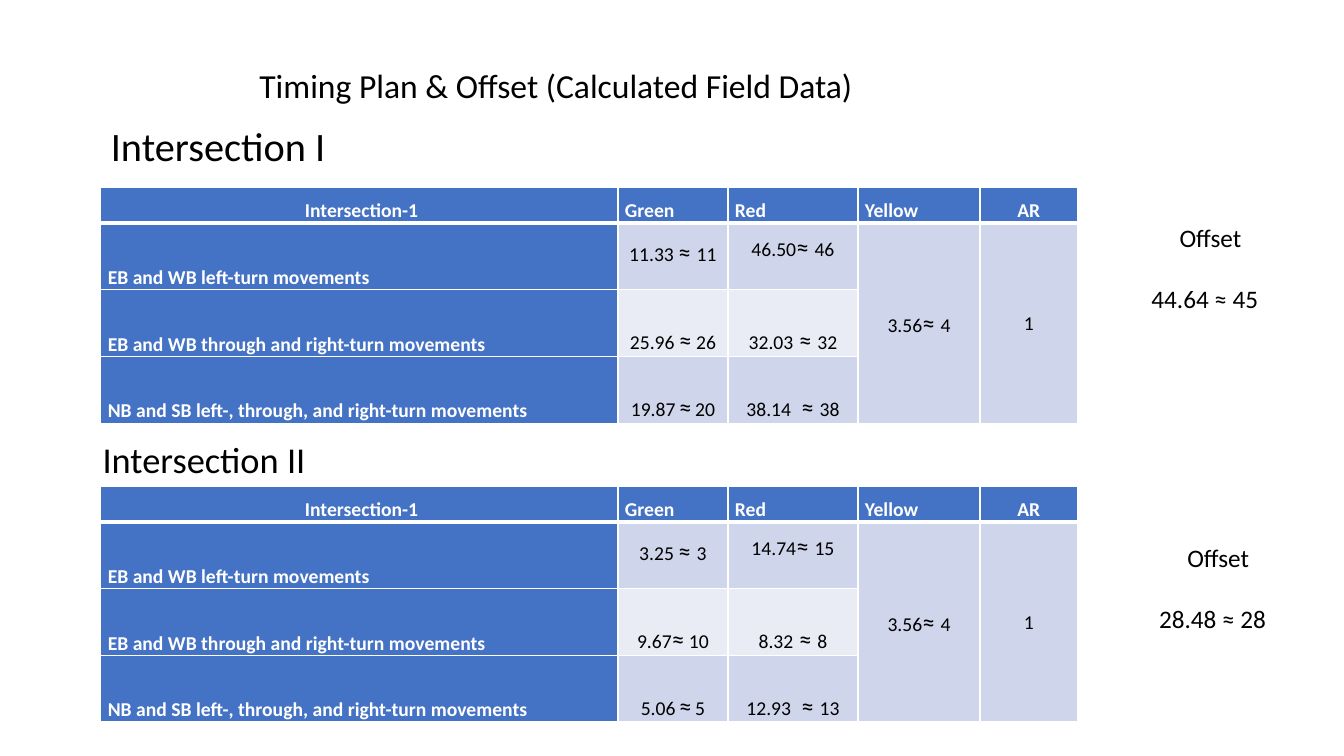
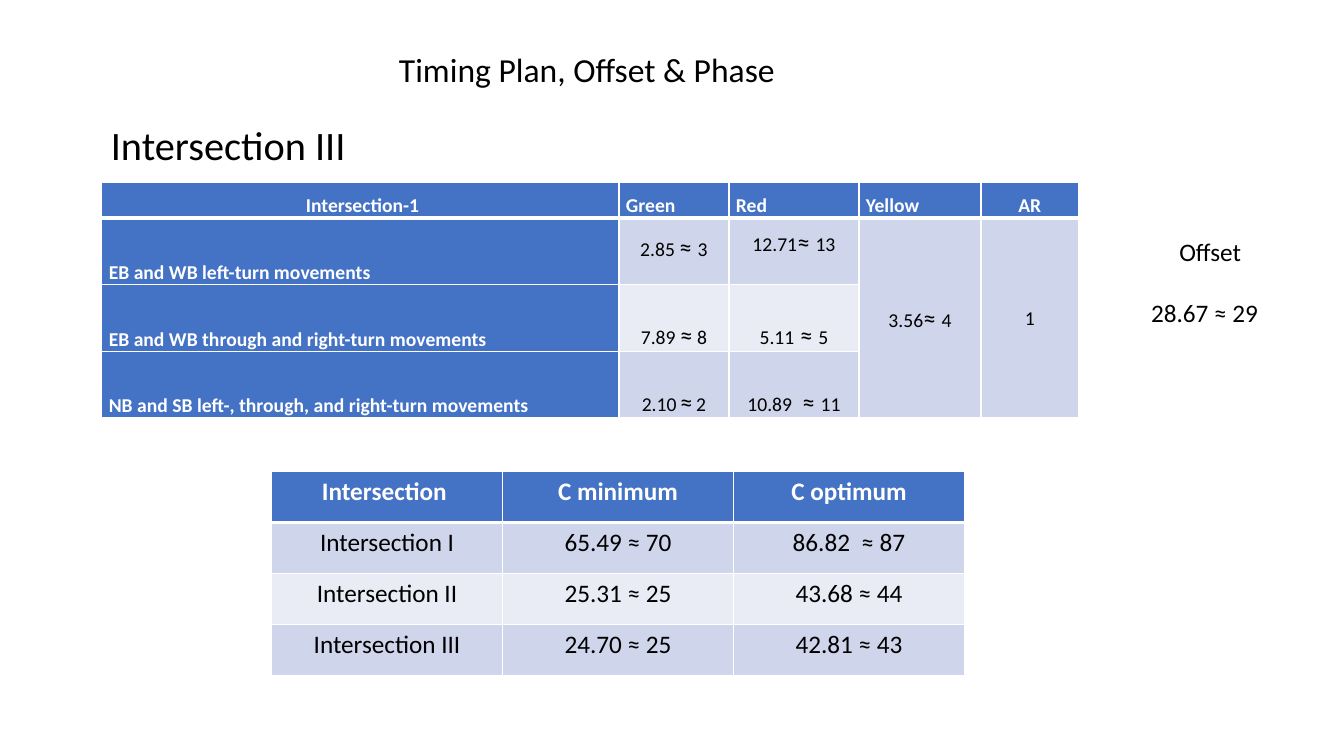
from dataclasses import dataclass

from lxml.etree import SubElement as SubEl
from pptx import Presentation
from pptx.dml.color import RGBColor as Rgb
from pptx.enum.text import MSO_ANCHOR as Anchor, MSO_AUTO_SIZE as Fit, PP_ALIGN as Align
from pptx.oxml.ns import qn
from pptx.util import Pt


# Shared look
@dataclass(frozen=True)
class Theme:
    font: str = "Calibri"
    white: str = "FFFFFF"
    black: str = "000000"
    blue: str = "4472C4"
    dark: str = "CFD5EA"
    light: str = "E9EBF5"
    title: float = 28.8
    second: float = 26
    head: float = 24
    body: float = 18
    cell: float = 14
    gap: float = 11
    thin: float = 1
    thick: float = 3


LOOK = Theme()


@dataclass(frozen=True)
class Box:
    left: float
    top: float
    width: float
    height: float

    def lengths(self) -> list:
        return [Pt(n) for n in (self.left, self.top, self.width, self.height)]


@dataclass(frozen=True)
class Plan:
    """Green and red times of one crossing; | parts the runs of a cell."""
    left: float
    top: float
    green: tuple
    red: tuple


@dataclass(frozen=True)
class Shift:
    box: Box
    value: str


# Content
HEADS = (" Intersection-1", "Green", "Red", "Yellow", "AR")
MOVES = ("EB and WB left-turn movements",
         "EB and WB through and right-turn movements",
         "NB and SB left-, through, and right-turn movements")
YELLOW, ALL_RED = "3.56|≈ |4", "1"
WIDTHS = (369.4, 78.6, 92.9, 87.2, 69.6)
HEIGHTS = (25.2, 47.7, 47.7, 47.7)
LIFTS = {(1, 1): 15, (1, 2): 19}  # bottom margins of the raised cells

PLAN_1 = Plan(72, 134, ("11.33 |≈ |11", "25.96 |≈| 26", "19.87| |≈| |20"),
              ("46.50|≈ |46", "32.03| ≈ |32", "38.14 | ≈ |38"))
PLAN_2 = Plan(72, 347.5, ("3.25 |≈ |3", "9.67|≈| 10", "5.06| |≈| |5"),
              ("14.74|≈ |15", "8.32| ≈ |8", "12.93 | ≈ |13"))
PLAN_3 = Plan(72.7, 130.3, ("2.85 |≈ |3", "7.89 |≈| 8", "2.10| |≈| |2"),
              ("12.71|≈ |13", "5.11| ≈ |5", "10.89 | ≈ |11"))

CYCLES = (("Intersection ", "C minimum", "C optimum"),
          ("Intersection I", "65.49 ≈ 70", "86.82  ≈ 87"),
          ("Intersection II", "25.31 ≈ 25", "43.68 ≈ 44"),
          ("Intersection III", "24.70 ≈ 25", "42.81 ≈ 43"))


# Text
def style(run, size: float, color: str = LOOK.black, bold: bool = False) -> None:
    font = run.font
    font.name, font.size, font.bold = LOOK.font, Pt(size), bold
    font.color.rgb = Rgb.from_string(color)


def add_text(slide, box: Box, lines: tuple, size: float, align=Align.CENTER):
    frame = slide.shapes.add_textbox(*box.lengths()).text_frame
    frame.word_wrap = True
    frame.text = "\n".join(lines)
    for para in frame.paragraphs:
        para.alignment = align
        style(para.runs[0], size)
    return frame


def add_title(slide, text: str, box: Box) -> None:
    title = slide.shapes.title
    title.left, title.top, title.width, title.height = box.lengths()
    frame = title.text_frame
    frame.text = text
    frame.auto_size, frame.vertical_anchor = Fit.NONE, Anchor.BOTTOM
    para = frame.paragraphs[0]
    para.alignment, para.line_spacing = Align.LEFT, 0.9
    style(para.runs[0], LOOK.title)


def add_shift(slide, shift: Shift) -> None:
    frame = add_text(slide, shift.box, ("Offset", shift.value), LOOK.body)
    last = frame.paragraphs[1]
    last.space_before = Pt(22)
    last._p.get_or_add_pPr().set("marR", str(Pt(8)))


# Tables
def edge(cell, row: int) -> None:
    props = cell._tc.get_or_add_tcPr()
    thick = {"T": row == 1, "B": row == 0}
    for side in "LRTB":
        width = LOOK.thick if thick.get(side) else LOOK.thin
        line = SubEl(props, qn(f"a:ln{side}"), w=str(Pt(width)))
        SubEl(SubEl(line, qn("a:solidFill")), qn("a:srgbClr"), val=LOOK.white)


def paint(cell, row: int, blue: bool) -> None:
    edge(cell, row)
    band = LOOK.dark if row % 2 else LOOK.light
    cell.fill.solid()
    cell.fill.fore_color.rgb = Rgb.from_string(LOOK.blue if blue else band)


def add_grid(slide, left: float, top: float, widths: tuple, heights: tuple):
    box = Box(left, top, sum(widths), sum(heights))
    grid = slide.shapes.add_table(len(heights), len(widths), *box.lengths()).table
    for col, width in zip(grid.columns, widths):
        col.width = Pt(width)
    for row, height in zip(grid.rows, heights):
        row.height = Pt(height)
    return grid


def part_size(part: str) -> float:
    if "≈" in part:
        return LOOK.body
    return LOOK.cell if part.strip() else LOOK.gap


def add_plan(slide, plan: Plan) -> None:
    grid = add_grid(slide, plan.left, plan.top, WIDTHS, HEIGHTS)
    rows = [HEADS] + [(*trio, YELLOW, ALL_RED)
                      for trio in zip(MOVES, plan.green, plan.red)]
    for r, texts in enumerate(rows):
        for c, text in enumerate(texts):
            cell = grid.cell(r, c)
            blue = r == 0 or c == 0
            paint(cell, r if c < 3 else min(r, 1), blue)
            if r > 1 and c > 2:
                continue  # covered by the merged cell above
            cell.margin_left = cell.margin_right = Pt(5)
            cell.margin_top, cell.margin_bottom = 0, Pt(LIFTS.get((r, c), 0))
            tall = r == 1 and c > 2
            cell.vertical_anchor = Anchor.MIDDLE if tall else Anchor.BOTTOM
            para = cell.text_frame.paragraphs[0]
            plain = (r == 0 and c in (1, 2, 3)) or (r > 0 and c == 0)
            para.alignment = Align.LEFT if plain else Align.CENTER
            para.line_spacing = 1.07
            for part in text.split("|"):
                run = para.add_run()
                run.text = part
                style(run, part_size(part), LOOK.white if blue else LOOK.black, blue)
    for c in (3, 4):
        grid.cell(1, c).merge(grid.cell(3, c))


def add_cycles(slide) -> None:
    grid = add_grid(slide, 194, 336.8, (165,) * 3, (36.5,) * 4)
    for r, texts in enumerate(CYCLES):
        head = r == 0
        for c, text in enumerate(texts):
            cell = grid.cell(r, c)
            paint(cell, r, head)
            cell.text_frame.text = text
            para = cell.text_frame.paragraphs[0]
            para.alignment = Align.CENTER
            style(para.runs[0], LOOK.body, LOOK.white if head else LOOK.black, head)


# Slides
def add_first(deck) -> None:
    slide = deck.slides.add_slide(deck.slide_layouts[5])
    add_title(slide, "Intersection I", Box(72, 89.3, 310, 36))
    add_plan(slide, PLAN_1)
    add_text(slide, Box(66.2, 309, 232, 39), ("Intersection II",),
             LOOK.second, Align.LEFT)
    add_plan(slide, PLAN_2)
    add_shift(slide, Shift(Box(802, 155.5, 125.3, 72.7), "44.64 ≈ 45"))
    add_shift(slide, Shift(Box(774.7, 383.8, 190.8, 72.7), "28.48 ≈ 28"))
    add_text(slide, Box(150.5, 42.5, 493.2, 36),
             ("Timing Plan & Offset (Calculated Field Data)",), LOOK.head)


def add_second(deck) -> None:
    slide = deck.slides.add_slide(deck.slide_layouts[5])
    add_title(slide, "Intersection III", Box(72, 88.6, 310, 36))
    add_plan(slide, PLAN_3)
    add_shift(slide, Shift(Box(769, 164.9, 190.8, 72.7), "28.67 ≈ 29"))
    add_text(slide, Box(98.6, 31.5, 646.6, 36),
             ("Timing Plan, Offset & Phase ",), LOOK.head)
    add_cycles(slide)


def main() -> None:
    deck = Presentation()
    deck.slide_width, deck.slide_height = Pt(960), Pt(540)
    add_first(deck)
    add_second(deck)
    deck.save("out.pptx")


if __name__ == "__main__":
    main()
